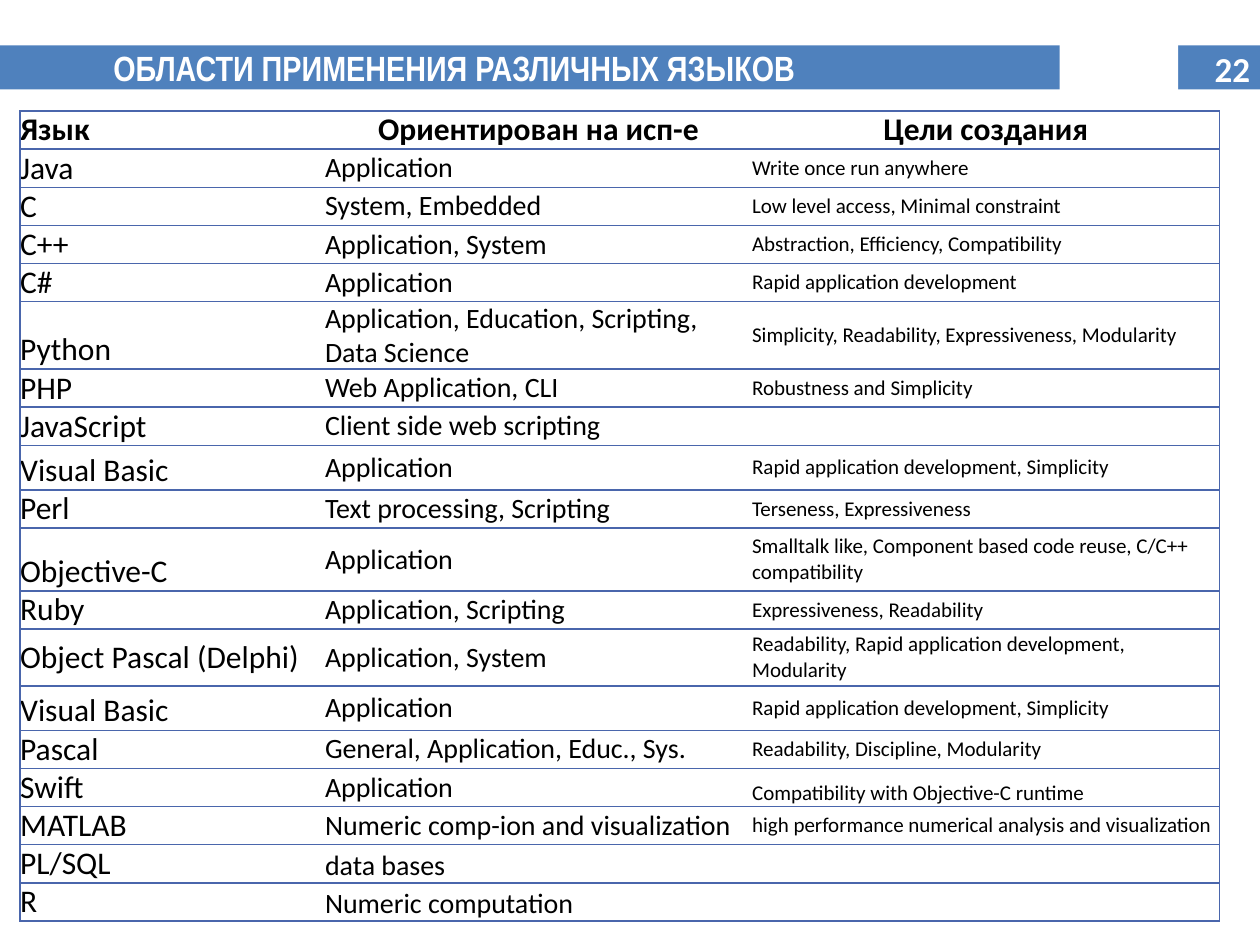
from lxml.etree import SubElement
from pptx import Presentation
from pptx.dml.color import RGBColor
from pptx.enum.shapes import MSO_SHAPE as Shape
from pptx.enum.text import MSO_ANCHOR as Anchor, MSO_AUTO_SIZE as AutoSize, PP_ALIGN as Align
from pptx.oxml.ns import qn
from pptx.util import Pt

COLORS = {"band": "4F81BD", "white": "FFFFFF", "text": "000000", "grid": "4A66AC"}
NO_STYLE = "{2D5ABB26-0587-4C30-8999-92F81FD0307C}"

HEADER = ("Язык", "Ориентирован на исп-е", "Цели создания")
LANGUAGES = [
    ("Java", "Application", "Write once run anywhere"),
    ("C", "System, Embedded", "Low level access, Minimal constraint"),
    ("C++", "Application, System", "Abstraction, Efficiency, Compatibility"),
    ("C#", "Application", "Rapid application development"),
    ("Python", "Application, Education, Scripting, Data Science",
     "Simplicity, Readability, Expressiveness, Modularity"),
    ("PHP", "Web Application, CLI", "Robustness and Simplicity"),
    ("JavaScript", "Client side web scripting", ""),
    ("Visual Basic", "Application", "Rapid application development, Simplicity"),
    ("Perl", "Text processing, Scripting", "Terseness, Expressiveness"),
    ("Objective-C", "Application",
     "Smalltalk like, Component based code reuse, C/C++ compatibility"),
    ("Ruby", "Application, Scripting", "Expressiveness, Readability"),
    ("Object Pascal (Delphi)", "Application, System",
     "Readability, Rapid application development, Modularity"),
    ("Visual Basic", "Application", "Rapid application development, Simplicity"),
    ("Pascal", "General, Application, Educ., Sys.", "Readability, Discipline, Modularity"),
    ("Swift", "Application", "Compatibility with Objective-C runtime"),
    ("MATLAB", "Numeric comp-ion and visualization",
     "high performance numerical analysis and visualization"),
    ("PL/SQL", "data bases", ""),
    ("R", "Numeric computation", ""),
]
COLUMN_WIDTHS = (174.24, 244.08, 267.12)
COLUMN_SIZES = (18, 16, 12)
ROW_HEIGHT = 21.8
TALL_ROWS = {"Python": 38.5, "Visual Basic": 25.4, "Objective-C": 36, "Object Pascal (Delphi)": 32.4}
COLUMN_ANCHORS = (Anchor.BOTTOM, Anchor.MIDDLE, Anchor.MIDDLE)
ROW_ANCHORS = {
    "Object Pascal (Delphi)": (Anchor.MIDDLE,) * 3,
    "Swift": (Anchor.BOTTOM, Anchor.MIDDLE, Anchor.BOTTOM),
    "PL/SQL": (Anchor.MIDDLE, Anchor.BOTTOM, Anchor.MIDDLE),
    "R": (Anchor.MIDDLE, Anchor.BOTTOM, Anchor.MIDDLE),
}


def color(name):
    return RGBColor.from_string(COLORS[name])


def format_text(para, size, font, tone, bold, align=Align.LEFT):
    para.alignment = align
    for span in para.runs:
        span.font.size = Pt(size)
        span.font.name = font
        span.font.bold = bold
        span.font.color.rgb = color(tone)


def place(shape, left, top, width, height):
    shape.left, shape.top, shape.width, shape.height = map(Pt, (left, top, width, height))


def add_block(page, tone, *box):
    block = page.shapes.add_shape(Shape.RECTANGLE, *map(Pt, box))
    block.shadow.inherit = False
    block.fill.solid()
    block.fill.fore_color.rgb = color(tone)
    block.line.fill.background()


def fill_heading(shape, text, font, anchor, align):
    frame = shape.text_frame
    frame.text = text
    frame.word_wrap = True
    frame.auto_size = AutoSize.SHAPE_TO_FIT_TEXT
    frame.vertical_anchor = anchor
    format_text(frame.paragraphs[0], 20, font, "white", True, align)


def add_title_band(page, left, top, width, height):
    """Blue band with the title, a white gap and the page number."""
    add_block(page, "band", left, top, width, height)
    add_block(page, "white", left + 605.5, top - 20.2, 67.7, 82.8)
    number = page.shapes.add_textbox(*map(Pt, (left + 670.3, top - 2.9, 51.1, 31.7)))
    fill_heading(number, "22", "Calibri", Anchor.BOTTOM, Align.RIGHT)
    title = page.shapes.title
    place(title, left + 57.6, top - 2.9, 688.3, 31.7)
    fill_heading(title, "ОБЛАСТИ ПРИМЕНЕНИЯ РАЗЛИЧНЫХ ЯЗЫКОВ", "Arial Narrow",
                 Anchor.TOP, Align.LEFT)
    page.shapes._spTree.append(title._element)  # in front of the band


def add_borders(cell, sides):
    properties = cell._tc.get_or_add_tcPr()
    for side in sides:
        line = SubElement(properties, qn(f"a:ln{side}"), w=str(Pt(1)))
        fill = SubElement(line, qn("a:solidFill"))
        SubElement(fill, qn("a:srgbClr"), val=COLORS["grid"])


def format_cell(cell, text, size, anchor, bold, align):
    cell.text = text
    cell.vertical_anchor = anchor
    cell.margin_left = cell.margin_right = cell.margin_top = cell.margin_bottom = 0
    format_text(cell.text_frame.paragraphs[0], size, "Calibri", "text", bold, align)
    cell.fill.solid()
    cell.fill.fore_color.rgb = color("white")


def add_language_table(page, left, top, width, height):
    records = [HEADER, *LANGUAGES]
    frame = page.shapes.add_table(len(records), len(HEADER), *map(Pt, (left, top, width, height)))
    table = frame.table
    table.horz_banding = False
    table._tbl.tblPr.find(qn("a:tableStyleId")).text = NO_STYLE
    for column, column_width in zip(table.columns, COLUMN_WIDTHS):
        column.width = Pt(column_width)
    for row, record in zip(table.rows, records):
        name = record[0]
        is_header = record is HEADER
        row.height = Pt(TALL_ROWS.get(name, ROW_HEIGHT))
        anchors = ROW_ANCHORS.get(name, COLUMN_ANCHORS)
        for index, (cell, text) in enumerate(zip(row.cells, record)):
            add_borders(cell, ("LTB", "TB", "RTB")[index])
            size = 18 if is_header else COLUMN_SIZES[index]
            align = Align.CENTER if is_header and index else Align.LEFT
            format_cell(cell, text, size, anchors[index], is_header, align)


def main():
    deck = Presentation()
    deck.slide_width, deck.slide_height = Pt(720), Pt(540)
    page = deck.slides.add_slide(deck.slide_layouts[5])
    add_title_band(page, 0, 25.9, 720, 25.2)
    add_language_table(page, 11.5, 63.4, sum(COLUMN_WIDTHS), 463)
    deck.save("out.pptx")


if __name__ == "__main__":
    main()
